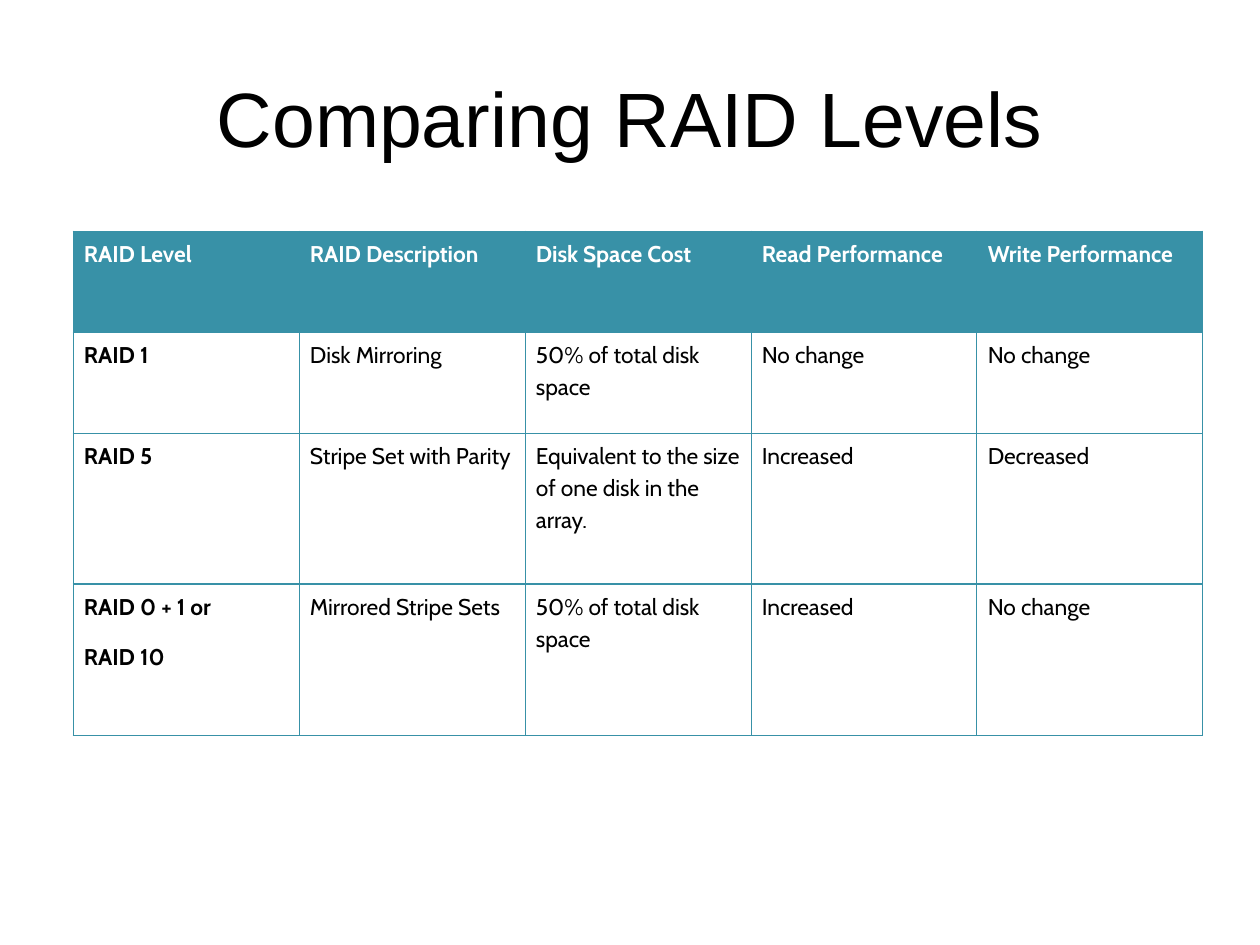
from dataclasses import dataclass

from lxml import etree
from pptx import Presentation
from pptx.dml.color import RGBColor
from pptx.enum.text import MSO_ANCHOR, PP_ALIGN
from pptx.oxml.ns import qn
from pptx.util import Emu, Pt

CENTER = PP_ALIGN.CENTER
MIDDLE = MSO_ANCHOR.MIDDLE
TOP = MSO_ANCHOR.TOP

EMU_PER_PX = 914400 / 126
COLORS = {"teal": "3891A7", "white": "FFFFFF", "black": "000000"}
THIN, THICK = 0.45, 1.08


@dataclass(frozen=True)
class RaidRow:
    height: int
    texts: tuple[str, ...]
    header: bool = False
    top_line: float = THIN
    bottom_line: float = THIN


COLUMN_WIDTH = 226
TABLE_LEFT, TABLE_TOP = 73, 231
ROWS = (
    RaidRow(101, ("RAID Level", "RAID Description", "Disk Space Cost",
                  "Read Performance", "Write Performance"), header=True),
    RaidRow(101, ("RAID 1", "Disk Mirroring", "50% of total disk space",
                  "No change", "No change")),
    RaidRow(151, ("RAID 5", "Stripe Set with Parity",
                  "Equivalent to the size of one disk in the array.",
                  "Increased", "Decreased"), bottom_line=THICK),
    RaidRow(151, ("RAID 0 + 1 or\nRAID 10", "Mirrored Stripe Sets",
                  "50% of total disk space", "Increased", "No change"),
            top_line=THICK),
)


def px(length: int) -> Emu:
    return Emu(round(length * EMU_PER_PX))


def style_runs(paragraph, font: str, size: int, color: str, bold: bool = False) -> None:
    for run in paragraph.runs:
        run.font.name = font
        run.font.size = Pt(size)
        run.font.bold = bold
        run.font.color.rgb = RGBColor.from_string(COLORS[color])


def add_border(cell, side: str, width: float) -> None:
    properties = cell._tc.get_or_add_tcPr()
    line = etree.SubElement(properties, qn(f"a:ln{side}"), w=str(int(Pt(width))))
    fill = etree.SubElement(line, qn("a:solidFill"))
    etree.SubElement(fill, qn("a:srgbClr"), val=COLORS["teal"])


def format_cell(cell, text: str, row: RaidRow, bold: bool) -> None:
    cell.margin_left = cell.margin_right = px(11)
    cell.margin_top = cell.margin_bottom = px(6)
    cell.vertical_anchor = TOP
    cell.text_frame.text = text
    for paragraph in cell.text_frame.paragraphs:
        paragraph.line_spacing = 1.15
        paragraph.space_after = Pt(10)
        style_runs(paragraph, "Cabin", 13, "white" if row.header else "black", bold)

    # Borders come before the fill in the cell properties
    for side, width in (("L", THIN), ("R", THIN),
                        ("T", row.top_line), ("B", row.bottom_line)):
        add_border(cell, side, width)
    if row.header:
        cell.fill.solid()
        cell.fill.fore_color.rgb = RGBColor.from_string(COLORS["teal"])
    else:
        cell.fill.background()


def set_title(slide, text: str) -> None:
    title = slide.shapes.title
    title.left, title.top, title.width, title.height = px(63), px(38), px(1134), px(157)
    title.text_frame.text = text
    title.text_frame.vertical_anchor = MIDDLE
    paragraph = title.text_frame.paragraphs[0]
    paragraph.alignment = CENTER
    style_runs(paragraph, "Arial", 44, "black")


def add_raid_table(slide) -> None:
    column_count = len(ROWS[0].texts)
    frame = slide.shapes.add_table(
        len(ROWS), column_count, px(TABLE_LEFT), px(TABLE_TOP),
        px(COLUMN_WIDTH * column_count), px(sum(row.height for row in ROWS)))
    table = frame.table
    table.horz_banding = False
    for column in table.columns:
        column.width = px(COLUMN_WIDTH)
    for row_index, row in enumerate(ROWS):
        table.rows[row_index].height = px(row.height)
        for column_index, text in enumerate(row.texts):
            format_cell(table.cell(row_index, column_index), text, row,
                        bold=row.header or column_index == 0)


def main() -> None:
    presentation = Presentation()
    presentation.slide_width, presentation.slide_height = px(1260), px(945)
    slide = presentation.slides.add_slide(presentation.slide_layouts[5])
    set_title(slide, "Comparing RAID Levels")
    add_raid_table(slide)
    presentation.save("out.pptx")


if __name__ == "__main__":
    main()
